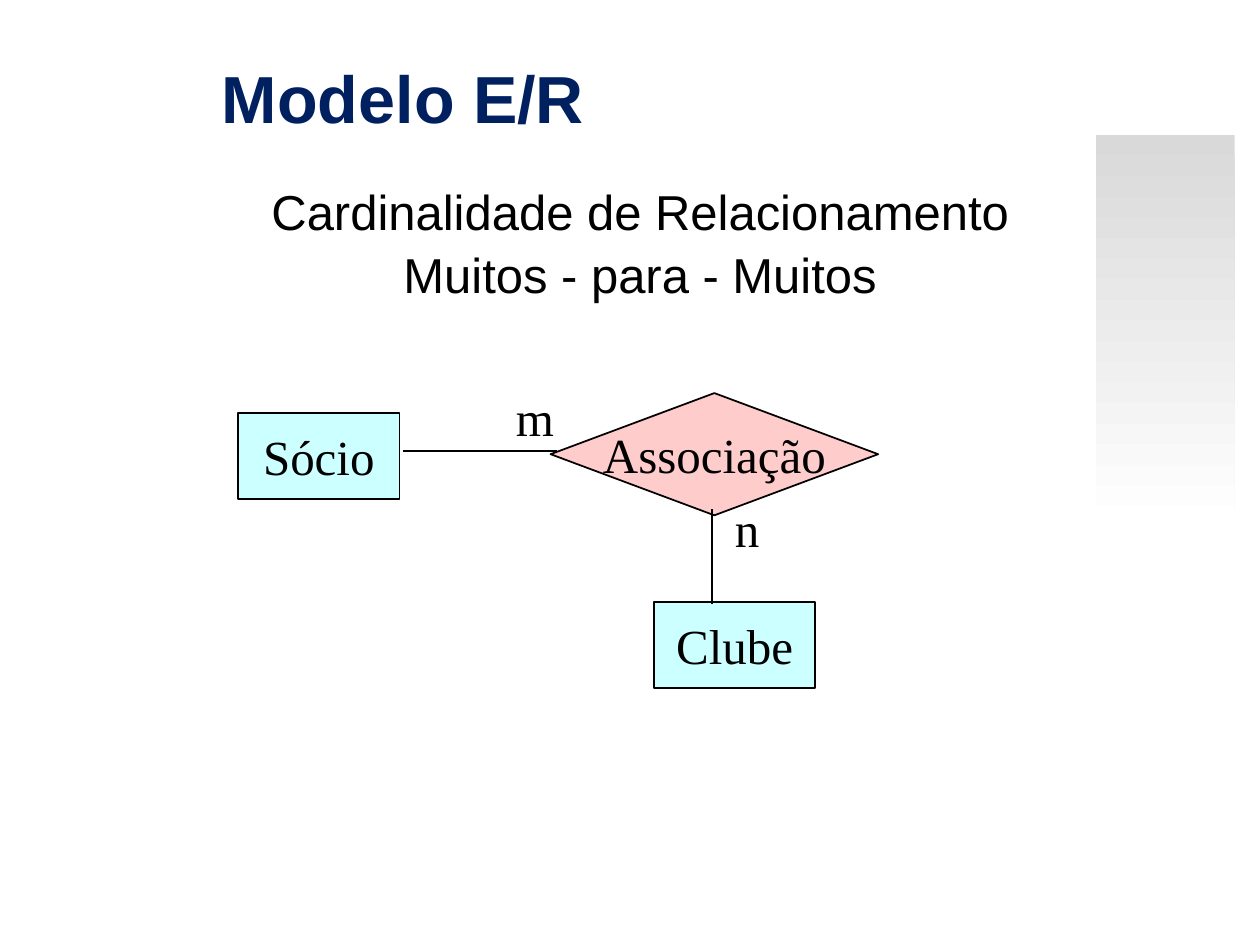
from lxml import etree
from pptx import Presentation
from pptx.dml.color import RGBColor
from pptx.enum.shapes import MSO_CONNECTOR, MSO_SHAPE
from pptx.enum.text import MSO_ANCHOR, PP_ALIGN
from pptx.oxml.ns import qn
from pptx.util import Inches, Pt

RECTANGLE = MSO_SHAPE.RECTANGLE
DIAMOND = MSO_SHAPE.DIAMOND
STRAIGHT = MSO_CONNECTOR.STRAIGHT
CENTER = PP_ALIGN.CENTER
TOP = MSO_ANCHOR.TOP
MIDDLE = MSO_ANCHOR.MIDDLE

BLACK = RGBColor(0x00, 0x00, 0x00)
WHITE = RGBColor(0xFF, 0xFF, 0xFF)
GRAY = RGBColor(0xD9, 0xD9, 0xD9)
NAVY = RGBColor(0x00, 0x20, 0x60)
CYAN = RGBColor(0xCC, 0xFF, 0xFF)
PINK = RGBColor(0xFF, 0xCC, 0xCC)

HEADING_FONT = "Arial"
DIAGRAM_FONT = "Times New Roman"
ENTITY_SIZE = (1.28, 0.68)


class DiagramSlide:
    def __init__(self, slide):
        self.slide = slide
        self.text_size = Pt(28)
        self.line_width = Pt(1)

    def set_text(self, shape, lines, font=DIAGRAM_FONT, size=None, color=BLACK,
                 bold=False, wrap=False, anchor=MIDDLE):
        frame = shape.text_frame
        frame.word_wrap = wrap
        frame.vertical_anchor = anchor
        frame.text = "\n".join(lines)
        for paragraph in frame.paragraphs:
            paragraph.alignment = CENTER
            paragraph.font.name = font
            paragraph.font.size = size or self.text_size
            paragraph.font.color.rgb = color
            paragraph.font.bold = bold
        return frame.paragraphs

    def text(self, box, *lines, **style):
        shape = self.slide.shapes.add_textbox(*map(Inches, box))
        return self.set_text(shape, lines, **style)

    def indented_text(self, box, *lines, **style):
        for paragraph in self.text(box, *lines, **style):
            paragraph.space_before = Pt(2.5)
            properties = paragraph._p.get_or_add_pPr()
            properties.set("marL", str(Inches(0.38)))
            properties.set("indent", str(Inches(-0.22)))

    def node(self, kind, box, label, color):
        shape = self.slide.shapes.add_shape(kind, *map(Inches, box))
        shape.shadow.inherit = False
        shape.fill.solid()
        shape.fill.fore_color.rgb = color
        shape.line.color.rgb = BLACK
        shape.line.width = self.line_width
        self.set_text(shape, [label])

    def line(self, *ends):
        connector = self.slide.shapes.add_connector(STRAIGHT, *map(Inches, ends))
        connector.line.color.rgb = BLACK
        connector.line.width = self.line_width
        etree.SubElement(connector._element.spPr, qn("a:effectLst"))

    def gradient_band(self, box):
        shape = self.slide.shapes.add_shape(RECTANGLE, *map(Inches, box))
        shape.shadow.inherit = False
        shape.line.fill.background()
        shape.fill.gradient()
        shape.fill.gradient_angle = 270
        stops = zip(shape.fill.gradient_stops, (0, 0.5), (GRAY, WHITE))
        for stop, position, color in stops:
            stop.position = position
            stop.color.rgb = color


def main():
    presentation = Presentation()
    presentation.slide_width = Inches(10)
    presentation.slide_height = Inches(7.5)
    diagram = DiagramSlide(presentation.slides.add_slide(presentation.slide_layouts[6]))

    diagram.gradient_band((8.7, 1.07, 1.1, 6.22))
    diagram.indented_text((0.75, 1.39, 8.5, 4.5), "Cardinalidade de Relacionamento",
                          "Muitos - para - Muitos", font=HEADING_FONT, wrap=True, anchor=TOP)
    diagram.text((3.99, 3.03, 0.51, 0.58), "m", anchor=TOP)
    diagram.text((5.73, 3.91, 0.4, 0.57), "n", anchor=TOP)
    diagram.node(RECTANGLE, (1.89, 3.28, *ENTITY_SIZE), "Sócio", CYAN)
    diagram.node(RECTANGLE, (5.19, 4.78, *ENTITY_SIZE), "Clube", CYAN)
    diagram.node(DIAMOND, (4.37, 3.12, 2.6, 0.97), "Associação", PINK)
    diagram.line(4.42, 3.58, 3.2, 3.58)
    diagram.line(5.65, 4.04, 5.65, 4.79)
    diagram.text((-1.05, 0.14, 8.5, 1.25), "Modelo E/R", font=HEADING_FONT,
                 size=Pt(38), color=NAVY, bold=True, wrap=True)

    presentation.save("out.pptx")


if __name__ == "__main__":
    main()
